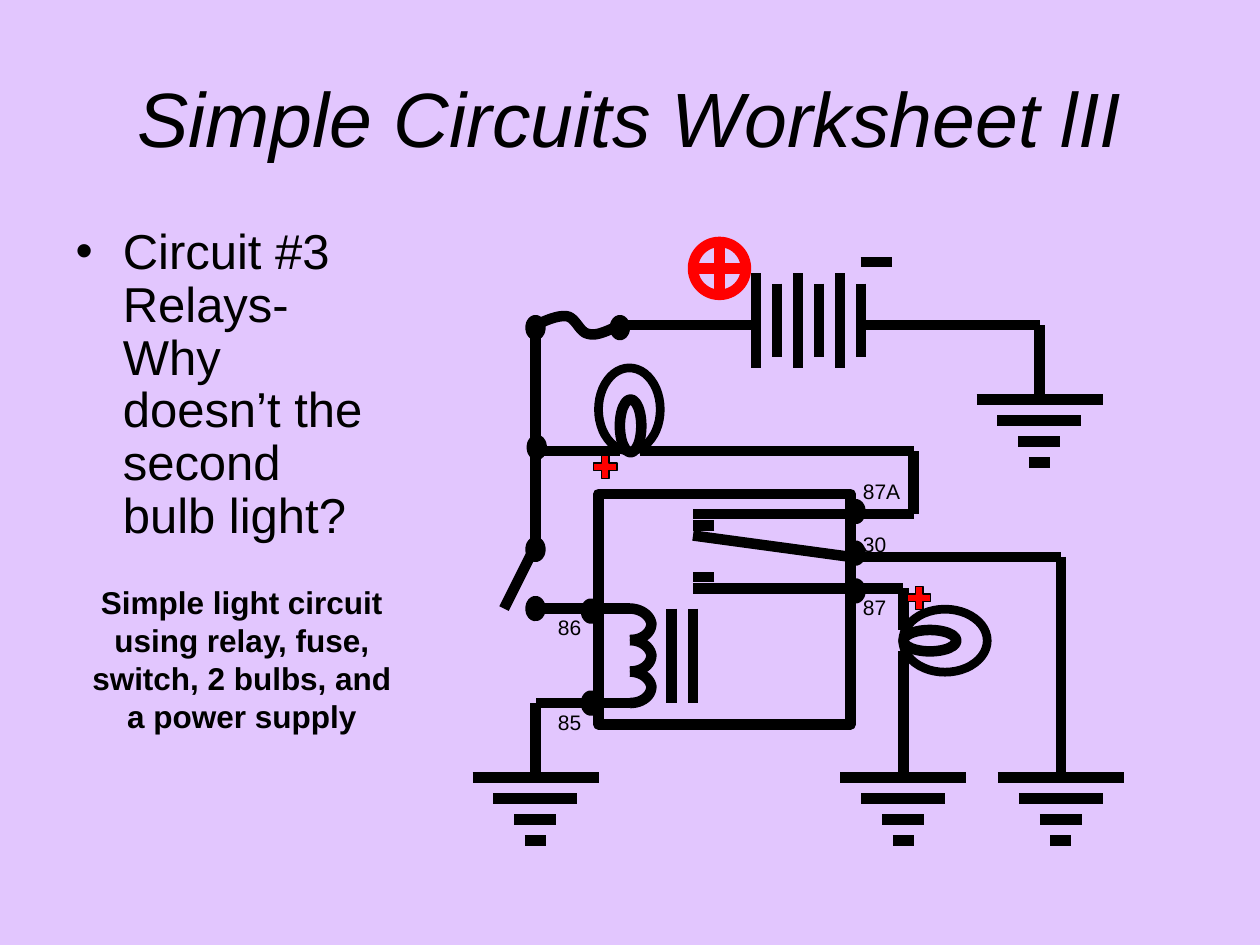
"""Build a worksheet slide with a relay circuit diagram."""
import itertools

import lxml.etree
import pptx
import pptx.dml.color
import pptx.enum.shapes
import pptx.enum.text
import pptx.oxml.ns
import pptx.util

Inches = pptx.util.Inches
Pt = pptx.util.Pt
SHAPE = pptx.enum.shapes.MSO_SHAPE
CENTER = pptx.enum.text.PP_ALIGN.CENTER
LILAC = pptx.dml.color.RGBColor(0xE2, 0xC6, 0xFE)
BLACK = pptx.dml.color.RGBColor(0, 0, 0)
RED = pptx.dml.color.RGBColor(0xFF, 0, 0)

TITLE_FONT = {"name": "Arial", "size": Pt(44), "italic": True}
BODY_FONT = {"name": "Arial", "size": Pt(28)}
CAPTION_FONT = {"name": "Arial", "size": Pt(18), "bold": True}
LABEL_FONT = {"name": "Arial", "size": Pt(12)}
BODY_PARA = {"line_spacing": 0.9, "space_before": Pt(0)}

WIRES = [
    [(6.83, 2.58), (8.25, 2.58), (8.25, 3.17)],
    [(6, 2.58), (4.92, 2.58)],
    [(6.83, 2.08), (7.08, 2.08)],
    [(4.25, 4.33), (4.25, 2.58)],
    [(4.25, 4.33), (4, 4.83)],
    [(4.25, 4.83), (5, 4.83)],
    [(5, 5.58), (4.25, 5.58), (4.25, 6.17)],
    [(5.33, 4.83), (5.33, 5.58)],
    [(5.5, 4.83), (5.5, 5.58)],
    [(4.25, 3.58), (4.92, 3.58)],
    [(5.08, 3.58), (7.25, 3.58), (7.25, 4.08), (6.75, 4.08), (5.5, 4.08)],
    [(5.67, 4.17), (5.5, 4.17)],
    [(5.5, 4.25), (6.75, 4.42), (8.42, 4.42), (8.42, 6.17)],
    [(5.67, 4.58), (5.5, 4.58)],
    [(5.5, 4.67), (6.75, 4.67), (7.17, 4.67), (7.17, 5)],
    [(7.17, 5.17), (7.17, 6.17)],
]
GROUNDS = [(8.25, 3.17), (4.25, 6.17), (7.17, 6.17), (8.42, 6.17)]
FUSE = [(4.25, 2.58), (4.34, 2.54), (4.43, 2.5), (4.5, 2.51), (4.57, 2.52),
        (4.6, 2.64), (4.67, 2.65), (4.74, 2.67), (4.83, 2.62), (4.92, 2.58)]
COIL_TURN = [(5, 0), (5.08, 0), (5.16, 0.05), (5.17, 0.12),
             (5.17, 0.19), (5.1, 0.25), (5, 0.25)]
TERMINALS = [(4.21, 4.77), (6.75, 4), (6.75, 4.33), (4.65, 5.52), (6.75, 4.63),
             (4.65, 4.79), (4.21, 4.3), (4.22, 3.49), (4.88, 2.54), (4.21, 2.54)]
LABELS = [("85", 4.33, 5.58, 0.42), ("86", 4.33, 4.83, 0.42), ("30", 6.75, 4.17, 0.42),
          ("87A", 6.75, 3.75, 0.58), ("87", 6.75, 4.67, 0.42)]


def apply_format(target, formats):
    """Set each named value on the target."""
    for name, value in formats.items():
        setattr(target, name, value)


def style_para(para, font_format, para_format):
    """Format a paragraph and its black text."""
    apply_format(para, para_format)
    for span in para.runs:
        apply_format(span.font, font_format)
        span.font.color.rgb = BLACK


def fill_placeholder(box, text, place, font_format, para_format):
    """Move a placeholder and write formatted text in it."""
    apply_format(box, dict(zip(("left", "top", "width", "height"), map(Inches, place))))
    box.text_frame.auto_size = pptx.enum.text.MSO_AUTO_SIZE.NONE
    box.text_frame.text = text
    style_para(box.text_frame.paragraphs[0], font_format, para_format)


def add_text(page, lines, place, font_format, para_format):
    """Add a wrapping text box with line breaks between the lines."""
    box = page.shapes.add_textbox(*map(Inches, place))
    box.text_frame.word_wrap = True
    para = box.text_frame.paragraphs[0]
    for index, line in enumerate(lines):
        if index:
            para.add_line_break()
        para.add_run().text = line
    style_para(para, font_format, para_format)


def add_wire(page, points):
    """Add straight connectors through the points."""
    for start, end in itertools.pairwise(points):
        wire = page.shapes.add_connector(
            pptx.enum.shapes.MSO_CONNECTOR.STRAIGHT, *map(Inches, start + end))
        wire.line.color.rgb = BLACK
        wire.line.width = Pt(6)
        lxml.etree.SubElement(wire._element.spPr, pptx.oxml.ns.qn("a:effectLst"))


def style_shape(shape, line_color, line_width, fill_color=None):
    """Give a shape its outline and optional fill, with no shadow."""
    shape.shadow.inherit = False
    shape.line.color.rgb = line_color
    shape.line.width = Pt(line_width)
    if fill_color is None:
        shape.fill.background()
    else:
        shape.fill.solid()
        shape.fill.fore_color.rgb = fill_color


def add_symbol(page, kind, place, line_color=BLACK, line_width=6, fill_color=None, rotation=0):
    """Add a preset shape as a circuit symbol."""
    symbol = page.shapes.add_shape(kind, *map(Inches, place))
    symbol.rotation = rotation
    style_shape(symbol, line_color, line_width, fill_color)


def bezier_point(controls, t):
    """Return the point at t on a cubic curve."""
    weights = ((1 - t) ** 3, 3 * t * (1 - t) ** 2, 3 * t * t * (1 - t), t ** 3)
    return tuple(Inches(sum(w * value for w, value in zip(weights, axis)))
                 for axis in zip(*controls))


def add_curve(page, controls, steps=12):
    """Add an open outline along joined cubic curves."""
    points = [bezier_point(controls[first:first + 4], step / steps)
              for first in range(0, len(controls) - 1, 3)
              for step in range(1, steps + 1)]
    builder = page.shapes.build_freeform(*map(Inches, controls[0]))
    builder.add_line_segments(points, close=False)
    style_shape(builder.convert_to_shape(), BLACK, 6)


def add_ground(page, x, y):
    """Add four shrinking bars centred on x, starting at y."""
    for row, width in enumerate((1, 2 / 3, 1 / 3, 1 / 6)):
        level = y + row / 6
        add_wire(page, [(x - width / 2, level), (x + width / 2, level)])


def add_battery(page):
    """Add alternating long and short battery plates and the plus sign."""
    for plate in range(6):
        x = 6 + plate / 6
        top, bottom = (2.25, 2.83) if plate % 2 else (2.17, 2.92)
        add_wire(page, [(x, top), (x, bottom)])
    add_symbol(page, SHAPE.FLOWCHART_OR, (5.5, 1.92, 0.42, 0.42), RED)


def add_bulbs(page):
    """Add both bulbs with their filaments and plus marks."""
    add_symbol(page, SHAPE.OVAL, (7.17, 5, 0.42, 0.17))
    add_symbol(page, SHAPE.OVAL, (7.25, 4.75, 0.5, 0.67), line_width=5, rotation=90)
    add_symbol(page, SHAPE.OVAL, (4.75, 2.92, 0.49, 0.66), line_width=5)
    add_symbol(page, SHAPE.OVAL, (4.92, 3.17, 0.17, 0.42))
    for x, y in ((7.17, 4.62), (4.68, 3.58)):
        add_symbol(page, SHAPE.MATH_PLUS, (x, y, 0.25, 0.25), line_width=0, fill_color=RED)


def main():
    """Build and save the slide."""
    deck = pptx.Presentation()
    deck.slide_width, deck.slide_height = Inches(10), Inches(7.5)
    page = deck.slides.add_slide(deck.slide_layouts[1])
    page.background.fill.solid()
    page.background.fill.fore_color.rgb = LILAC
    fill_placeholder(page.shapes.title, "Simple Circuits Worksheet lII",
                     (0.5, 0.3, 9, 1.25), TITLE_FONT, {"alignment": CENTER})
    fill_placeholder(page.placeholders[1],
                     "Circuit #3 Relays-Why doesn’t the second bulb light?",
                     (0.5, 1.75, 2.62, 2.67), BODY_FONT, BODY_PARA)
    add_text(page, ["Simple light circuit using relay, fuse, switch, 2 bulbs, and",
                    "a power supply"],
             (0.42, 4.58, 3, 1.3), CAPTION_FONT, {"alignment": CENTER})
    add_symbol(page, SHAPE.RECTANGLE, (4.75, 3.92, 2, 1.83))
    add_battery(page)
    add_curve(page, FUSE)
    for turn in range(3):
        add_curve(page, [(x, 4.83 + turn / 4 + y) for x, y in COIL_TURN])
    for points in WIRES:
        add_wire(page, points)
    for x, y in GROUNDS:
        add_ground(page, x, y)
    for text, x, y, width in LABELS:
        add_text(page, [text], (x, y, width, 0.3), LABEL_FONT, {})
    add_bulbs(page)
    for x, y in TERMINALS:
        add_symbol(page, SHAPE.FLOWCHART_CONNECTOR, (x, y, 0.08, 0.12))
    deck.save("out.pptx")


if __name__ == "__main__":
    main()
